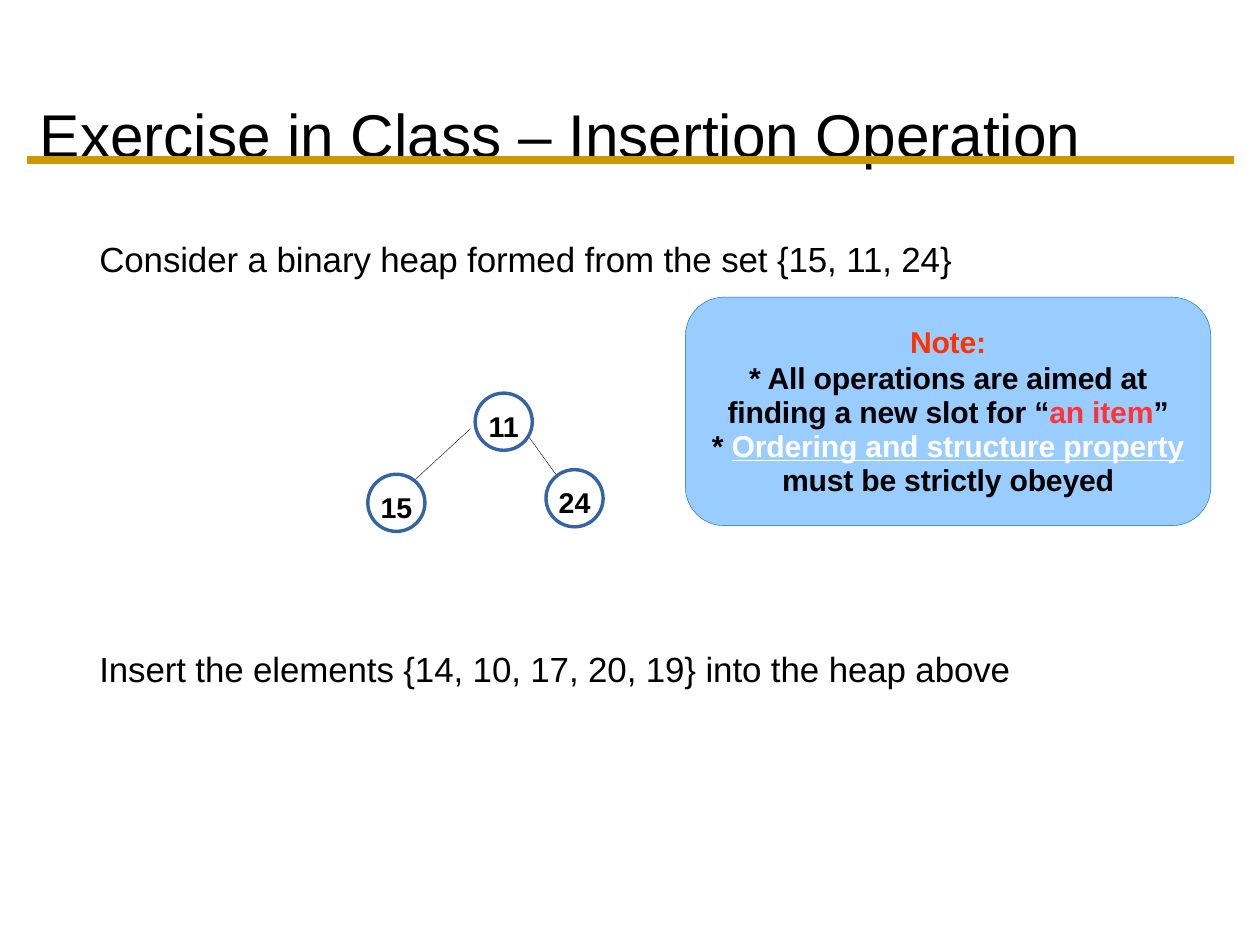
"""Build the heap insertion exercise slide."""
from lxml.etree import SubElement
from pptx import Presentation
from pptx.dml.color import RGBColor
from pptx.enum.shapes import MSO_CONNECTOR, MSO_SHAPE
from pptx.enum.text import MSO_ANCHOR, PP_ALIGN
from pptx.oxml.ns import qn
from pptx.util import Inches, Pt

TITLE = "Exercise in Class – Insertion Operation"
STATEMENTS = [
    ("Consider a binary heap formed from the set {15, 11, 24}", 2.08),
    ("Insert the elements {14, 10, 17, 20, 19} into the heap above", 5.67),
]
NODES = [("11", 4.16, 3.44), ("15", 3.22, 4.15), ("24", 4.78, 4.11)]
NODE_SIZE = 0.5
RULE = (0.24, 1.4, 10.8, 1.4)
EDGES = [(4.12, 3.75, 3.62, 4.21), (4.62, 3.81, 4.88, 4.17)]
BLACK, WHITE, ORANGE, RED = "000000", "FFFFFF", "FF3300", "FF3333"
NOTE = [
    [("Note:", ORANGE, False)],
    [
        ("* All operations are aimed at finding a new slot for “", BLACK, False),
        ("an item", RED, False),
        ("”", BLACK, False),
    ],
    [
        ("* ", BLACK, False),
        ("Ordering and structure property", WHITE, True),
        (" must be strictly obeyed", BLACK, False),
    ],
]


def color(value):
    return RGBColor.from_string(value)


def add_span(para, text, size, fill=BLACK, bold=False, underline=False, spacing=-0.05):
    span = para.add_run()
    span.text = text
    font = span.font
    font.name, font.size, font.bold = "Arial", Pt(size), bold
    font.underline = underline
    font.color.rgb = color(fill)
    span._r.get_or_add_rPr().set("spc", str(round(spacing * 100)))


def set_frame(shape, anchor, top=0):
    frame = shape.text_frame
    frame.word_wrap = True
    frame.vertical_anchor = anchor
    frame.margin_left = frame.margin_right = frame.margin_bottom = 0
    frame.margin_top = Inches(top)
    return frame


def add_line(page, ends, stroke, width):
    line = page.shapes.add_connector(MSO_CONNECTOR.STRAIGHT, *map(Inches, ends))
    line.line.color.rgb = color(stroke)
    line.line.width = Pt(width)
    SubElement(line.element.spPr, qn("a:effectLst"))


def add_outlined(page, kind, place, stroke, width):
    shape = page.shapes.add_shape(kind, *map(Inches, place))
    shape.shadow.inherit = False
    shape.line.color.rgb = color(stroke)
    shape.line.width = Pt(width)
    return shape


def add_title(page):
    title = page.shapes.title
    title.left, title.top, title.width, title.height = map(Inches, (0.35, 0.85, 10.46, 0.6))
    para = set_frame(title, MSO_ANCHOR.TOP).paragraphs[0]
    para.alignment = PP_ALIGN.LEFT
    add_span(para, TITLE, 38)


def add_statement(page, text, top):
    box = page.shapes.add_textbox(*map(Inches, (0.87, top, 9, 0.35)))
    add_span(set_frame(box, MSO_ANCHOR.TOP).paragraphs[0], text, 22)


def add_node(page, label, left, top):
    place = (left, top, NODE_SIZE, NODE_SIZE)
    node = add_outlined(page, MSO_SHAPE.OVAL, place, "3364A3", 2.15)
    node.fill.background()
    para = set_frame(node, MSO_ANCHOR.MIDDLE, top=0.07).paragraphs[0]
    para.alignment = PP_ALIGN.CENTER
    add_span(para, label, 18, bold=True)


def add_note(page):
    note = add_outlined(page, MSO_SHAPE.ROUNDED_RECTANGLE, (6, 2.6, 4.6, 2), "0066CC", 0.25)
    note.adjustments[0] = 0.17
    note.fill.solid()
    note.fill.fore_color.rgb = color("99CCFF")
    frame = set_frame(note, MSO_ANCHOR.MIDDLE)
    for index, spans in enumerate(NOTE):
        para = frame.add_paragraph() if index else frame.paragraphs[0]
        para.alignment = PP_ALIGN.CENTER
        para.line_spacing = Pt(21.4)
        para.space_after = Pt(0 if index else 1.1)
        for text, fill, underline in spans:
            add_span(para, text, 19, fill, True, underline, -0.1)


def main():
    deck = Presentation()
    deck.slide_width, deck.slide_height = Inches(11.03), Inches(8.26)
    page = deck.slides.add_slide(deck.slide_layouts[5])
    add_title(page)
    add_line(page, RULE, "CC9900", 5.04)
    for text, top in STATEMENTS:
        add_statement(page, text, top)
    for ends in EDGES:
        add_line(page, ends, BLACK, 0.25)
    for label, left, top in NODES:
        add_node(page, label, left, top)
    add_note(page)
    deck.save("out.pptx")


if __name__ == "__main__":
    main()
